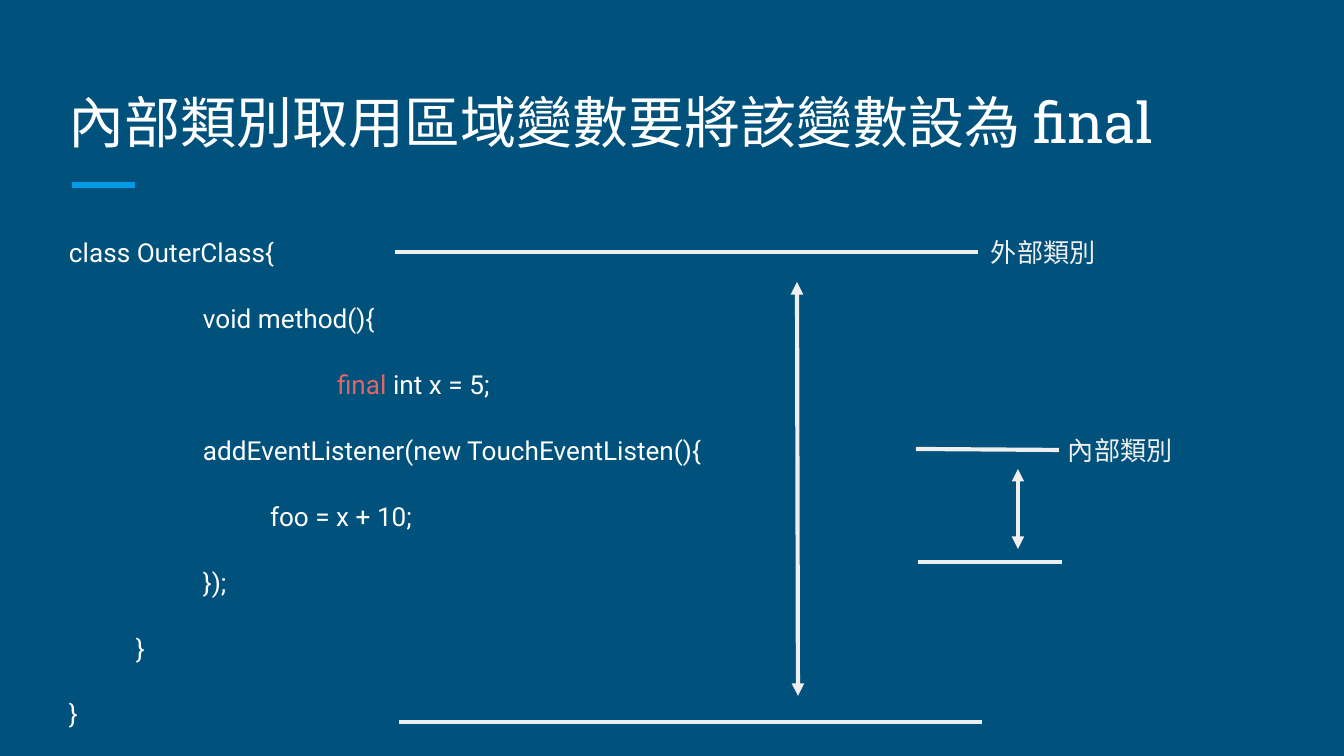
"""Build the slide on final local variables used by inner classes."""
from dataclasses import dataclass

from lxml import etree
from pptx import Presentation
from pptx.dml.color import RGBColor
from pptx.enum import shapes, text
from pptx.oxml.ns import qn
from pptx.util import Pt

PX = 914400 / 134.4


@dataclass(frozen=True)
class Theme:
    background: str = "00517C"
    accent: str = "039BE5"
    white: str = "FFFFFF"
    pale: str = "EFEFEF"
    keyword: str = "E06666"
    title_font: str = "Roboto Slab"
    code_font: str = "Roboto"
    label_font: str = "Arial"
    title_size: int = 30
    body_size: int = 14
    accent_width: float = 3
    line_width: float = 2.25


theme = Theme()


def px(*values):
    return [round(v * PX) for v in values]


def style(p, font, size, color):
    p.font.name = font
    p.font.size = Pt(size)
    p.font.color.rgb = RGBColor.from_string(color)
    p.alignment = text.PP_ALIGN.LEFT


prs = Presentation()
prs.slide_width, prs.slide_height = px(1344, 756)
s = prs.slides.add_slide(prs.slide_layouts[1])
s.background.fill.solid()
s.background.fill.fore_color.rgb = RGBColor.from_string(theme.background)

title, body = s.shapes.title, s.placeholders[1]
labels = [s.shapes.add_textbox(*px(x, y, 140, 58)) for x, y in [(978, 223), (1055, 421)]]
for sp, box, anchor in [
    (title, (56, 67, 1230, 101), text.MSO_ANCHOR.BOTTOM),
    (body, (56, 219, 1230, 453), text.MSO_ANCHOR.TOP),
]:
    sp.left, sp.top, sp.width, sp.height = px(*box)
    sp.text_frame.vertical_anchor = anchor
for sp in [title, body, *labels]:
    tf = sp.text_frame
    tf.word_wrap = True
    tf.auto_size = text.MSO_AUTO_SIZE.NONE
    tf.margin_left, tf.margin_top, tf.margin_right, tf.margin_bottom = px(13, 13, 13, 13)

p = title.text_frame.paragraphs[0]
p.text = "內部類別取用區域變數要將該變數設為 final"
style(p, theme.title_font, theme.title_size, theme.white)

code = [
    (0, ["class OuterClass{"]),
    (2, ["void method(){"]),
    (4, ["final ", "int x = 5;"]),
    (2, ["addEventListener(new TouchEventListen(){"]),
    (3, ["foo = x + 10;"]),
    (2, ["});"]),
    (1, ["}"]),
    (0, ["}"]),
]
tf = body.text_frame
for i, (depth, parts) in enumerate(code):
    p = tf.add_paragraph() if i else tf.paragraphs[0]
    for part in parts:
        r = p.add_run()
        r.text = part
        if part == "final ":
            r.font.color.rgb = RGBColor.from_string(theme.keyword)
    style(p, theme.code_font, theme.body_size, theme.white)
    p.line_spacing = 1.15
    p.space_before = Pt(16 if i else 0)
    pPr = p._p.get_or_add_pPr()
    pPr.set("marL", str(px(67 * depth)[0]))
    pPr.set("indent", "0")
    bullet = etree.Element(qn("a:buNone"))
    pPr.find(qn("a:spcBef")).addnext(bullet)

for sp, label in zip(labels, ["外部類別", "內部類別"]):
    p = sp.text_frame.paragraphs[0]
    p.text = label
    style(p, theme.label_font, theme.body_size, theme.pale)

lines = [
    ((72, 185, 135, 185), theme.accent, theme.accent_width, False),
    ((978, 252, 395, 252), theme.pale, theme.line_width, False),
    ((1062, 562, 918, 562), theme.pale, theme.line_width, False),
    ((982, 722, 399, 722), theme.pale, theme.line_width, False),
    ((1059, 450, 916, 449), theme.pale, theme.line_width, False),
    ((797, 282, 798, 696), theme.pale, theme.line_width, True),
    ((1018, 469, 1018, 549), theme.pale, theme.line_width, True),
]
for ends, color, width, arrows in lines:
    line = s.shapes.add_connector(shapes.MSO_CONNECTOR.STRAIGHT, *px(*ends))
    line.line.color.rgb = RGBColor.from_string(color)
    line.line.width = Pt(width)
    if arrows:
        ln = line.line._get_or_add_ln()
        for end in ("a:headEnd", "a:tailEnd"):
            etree.SubElement(ln, qn(end), type="triangle")
    etree.SubElement(line._element.spPr, qn("a:effectLst"))

prs.save("out.pptx")
